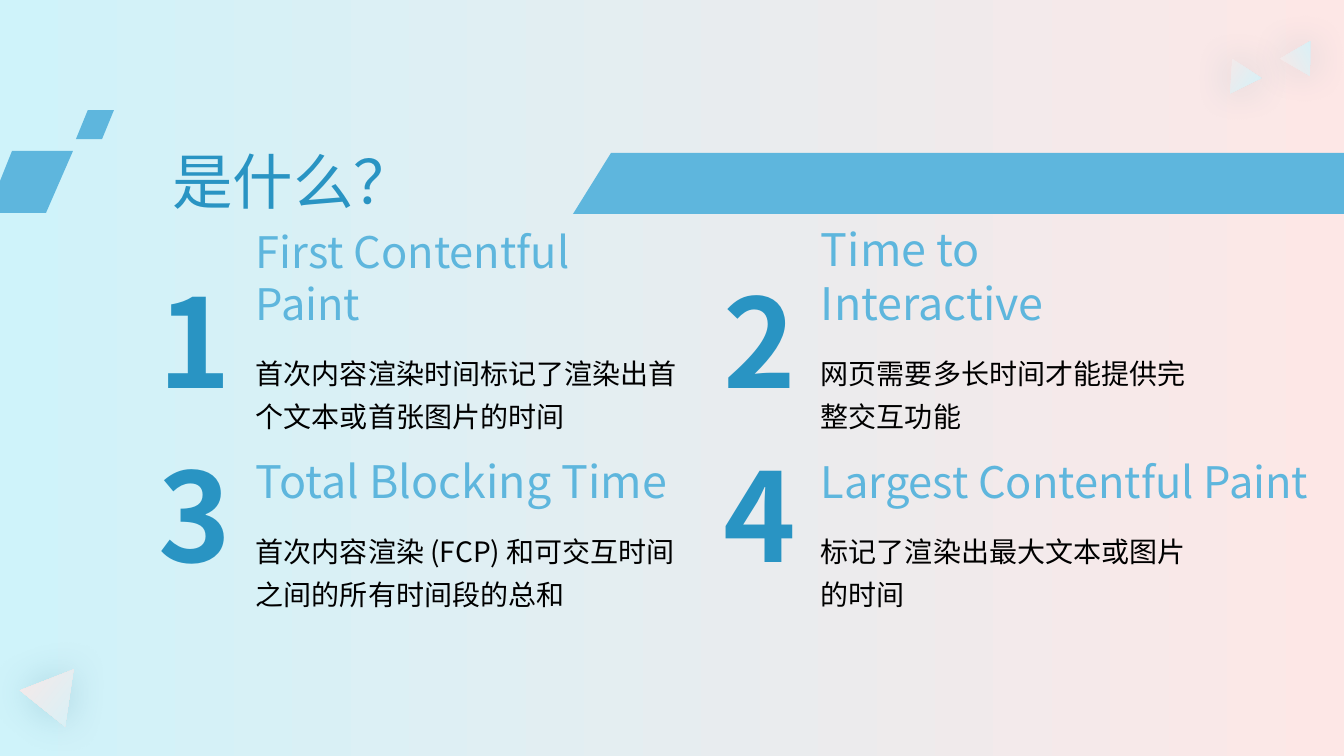
from dataclasses import dataclass

from lxml import etree
from pptx import Presentation
from pptx.dml.color import RGBColor
from pptx.enum.lang import MSO_LANGUAGE_ID
from pptx.enum.shapes import MSO_SHAPE
from pptx.enum.text import MSO_ANCHOR, MSO_AUTO_SIZE, PP_ALIGN
from pptx.oxml import parse_xml
from pptx.oxml.ns import nsdecls, qn
from pptx.util import Pt

TRIANGLE, PARALLELOGRAM = MSO_SHAPE.ISOSCELES_TRIANGLE, MSO_SHAPE.PARALLELOGRAM
TOP, BOTTOM = MSO_ANCHOR.TOP, MSO_ANCHOR.BOTTOM
LEFT, CENTER = PP_ALIGN.LEFT, PP_ALIGN.CENTER
NO_AUTOFIT = MSO_AUTO_SIZE.NONE
CHINESE = MSO_LANGUAGE_ID.SIMPLIFIED_CHINESE
TITLE_ONLY = 5
EMU_PER_PX = 914400 / 100.8
SLIDE_W, SLIDE_H = 1344, 756


@dataclass(frozen=True)
class Theme:
    ice: str = "CFF3FA"
    blush: str = "FDE7E6"
    sky: str = "5EB6DD"
    blue: str = "2994C3"
    ink: str = "000000"
    shadow: str = "1B6382"
    font: str = "Noto Sans CJK SC"
    title_font: str = "Arial"
    title_size: float = 43.2
    number_size: int = 88
    heading_size: int = 32
    long_heading_size: int = 31
    body_size: int = 20


THEME = Theme()

# heading, heading size, heading width, body
METRICS = [
    ("First Contentful Paint", THEME.long_heading_size, 447,
     "首次内容渲染时间标记了渲染出首个文本或首张图片的时间"),
    ("Time to Interactive", THEME.heading_size, 409, "网页需要多长时间才能提供完整交互功能"),
    ("Total Blocking Time", THEME.heading_size, 486,
     "首次内容渲染 (FCP) 和可交互时间之间的所有时间段的总和"),
    ("Largest Contentful Paint", THEME.long_heading_size, 534, "标记了渲染出最大文本或图片的时间"),
]
# left edge, body width, heading height
COLUMNS = [(145, 447, 44), (710, 409, 61)]
# number top, body top
ROWS = [(260, 341), (434, 519)]


def px(*lengths):
    return [round(length * EMU_PER_PX) for length in lengths]


def fill_gradient(fill, start, end):
    fill.gradient()
    fill.gradient_angle = 0
    for stop, color, position in zip(fill.gradient_stops, (start, end), (0, 1)):
        stop.color.rgb = RGBColor.from_string(color)
        stop.position = position


def fill_plain(shape):
    shape.fill.solid()
    shape.fill.fore_color.rgb = RGBColor.from_string(THEME.sky)
    shape.line.fill.background()
    shape.shadow.inherit = False


def write(frame, text, size, color, font=THEME.font, bold=False, align=LEFT,
          anchor=TOP, spacing=None, wrap=True):
    frame.word_wrap = wrap
    frame.auto_size = NO_AUTOFIT
    frame.vertical_anchor = anchor
    paragraph = frame.paragraphs[0]
    paragraph.alignment = align
    if spacing:
        paragraph.line_spacing = spacing
    run = paragraph.add_run()
    run.text = text
    run.font.size = Pt(size)
    run.font.bold = bold
    run.font.name = font
    run.font.language_id = CHINESE
    run.font.color.rgb = RGBColor.from_string(color)
    east_asian = etree.SubElement(run.font._element, qn("a:ea"))
    east_asian.set("typeface", THEME.font)


def add_text(slide, box, *args, **style):
    write(slide.shapes.add_textbox(*px(*box)).text_frame, *args, **style)


def add_triangles(slide):
    """Corner triangles that share one gradient running across their group."""
    group = slide.shapes.add_group_shape()
    for box, angle, flipped in [
        ((29, 664, 58, 50), 38.6, False),
        ((1221, 66, 35, 30), 33.6, True),
        ((1285, 48, 35, 30), 330.2, True),
    ]:
        triangle = group.shapes.add_shape(TRIANGLE, *px(*box))
        triangle.rotation = angle
        fill_gradient(triangle.fill, THEME.blush, THEME.ice)
        triangle.line.fill.background()
        properties = triangle._element.spPr
        if flipped:
            properties.find(qn("a:xfrm")).set("flipV", "1")
        properties.append(parse_xml(
            f'<a:effectLst {nsdecls("a")}><a:outerShdw blurRad="{Pt(27)}" dist="0" dir="0">'
            f'<a:srgbClr val="{THEME.shadow}"><a:alpha val="20000"/></a:srgbClr>'
            '</a:outerShdw></a:effectLst>'))
        gradient = properties.find(qn("a:gradFill"))
        properties.replace(gradient, parse_xml(f'<a:grpFill {nsdecls("a")}/>'))
    group._element.grpSpPr.append(gradient)


def add_outline(slide, start, *corners):
    builder = slide.shapes.build_freeform(*start, scale=EMU_PER_PX)
    builder.add_line_segments(corners, close=True)
    fill_plain(builder.convert_to_shape())


def add_title_band(slide, top):
    add_outline(slide, (611, top), (SLIDE_W, top), (SLIDE_W, top + 61), (573, top + 61))
    add_outline(slide, (12, top - 2), (73, top - 2), (46, top + 60), (0, top + 60),
                (0, top + 28))
    accent = slide.shapes.add_shape(PARALLELOGRAM, *px(76, top - 43, 38, 29))
    accent.adjustments[0] = 0.41
    fill_plain(accent)

    title = slide.shapes.title
    title.left, title.top, title.width, title.height = px(162, top - 14, 236, 92)
    write(title.text_frame, "是什么？", THEME.title_size, THEME.blue,
          font=THEME.title_font, wrap=False)


def add_metric(slide, number, column, row, metric):
    left, body_width, heading_height = column
    number_top, body_top = row
    heading, heading_size, heading_width, body = metric
    text_left = left + 101
    heading_top = body_top - 7 - heading_height
    add_text(slide, (text_left, heading_top, heading_width, heading_height), heading,
             heading_size, THEME.sky, anchor=BOTTOM)
    add_text(slide, (text_left, body_top, body_width, 81), body, THEME.body_size,
             THEME.ink, spacing=1.3)
    add_text(slide, (left, number_top, 99, 159), str(number), THEME.number_size,
             THEME.blue, bold=True, align=CENTER)


def main():
    deck = Presentation()
    deck.slide_width, deck.slide_height = px(SLIDE_W, SLIDE_H)
    slide = deck.slides.add_slide(deck.slide_layouts[TITLE_ONLY])
    fill_gradient(slide.background.fill, THEME.ice, THEME.blush)
    add_triangles(slide)
    for index, metric in enumerate(METRICS):
        row, column = divmod(index, len(COLUMNS))
        add_metric(slide, index + 1, COLUMNS[column], ROWS[row], metric)
    add_title_band(slide, 153)
    deck.save("out.pptx")


if __name__ == "__main__":
    main()
